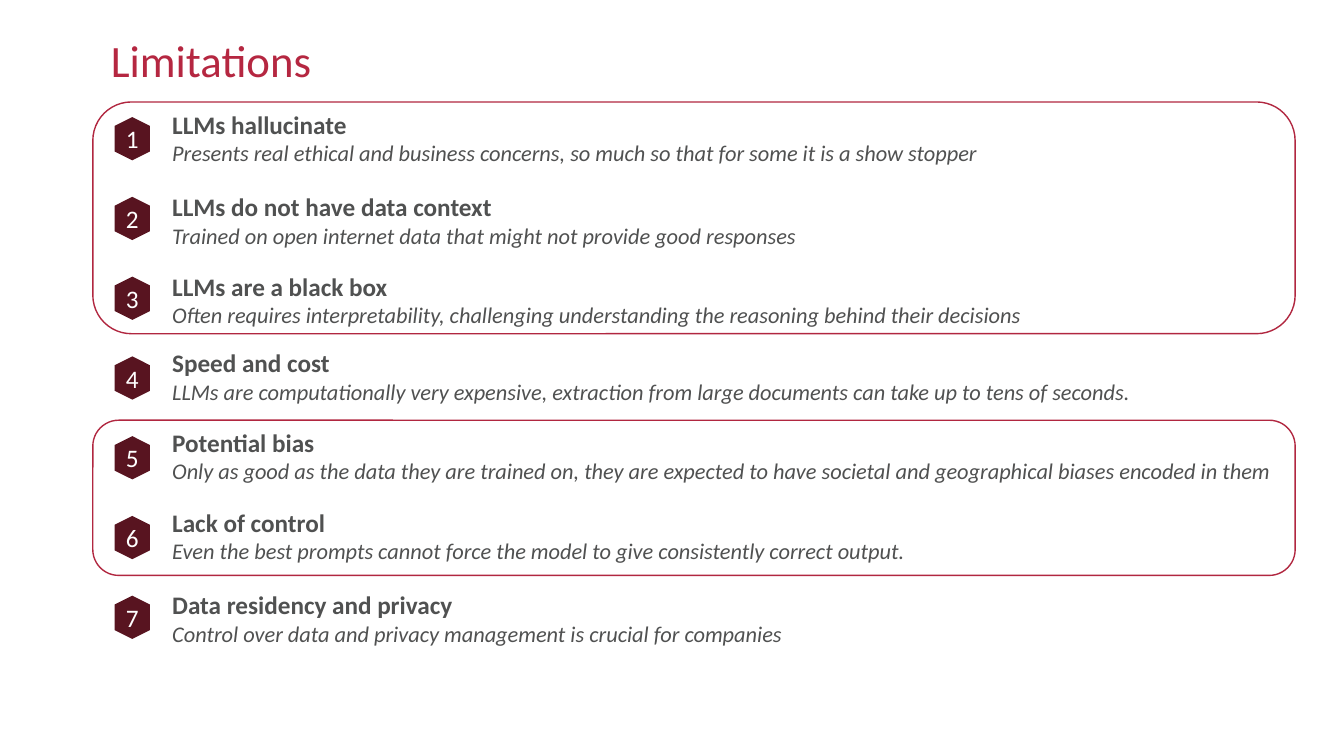
from pptx import Presentation
from pptx.dml.color import RGBColor
from pptx.enum.shapes import MSO_SHAPE as Shape
from pptx.enum.text import MSO_ANCHOR as Anchor, MSO_AUTO_SIZE as AutoSize, PP_ALIGN as Align
from pptx.util import Cm, Pt

TITLE = "Limitations"
# heading, explanation, top and width of the text in cm
LIMITATIONS = [
    ("LLMs hallucinate",
     "Presents real ethical and business concerns, so much so that for some it is a show stopper",
     2.62, 21.08),
    ("LLMs do not have data context",
     "Trained on open internet data that might not provide good responses",
     4.7, 17.09),
    ("LLMs are a black box",
     "Often requires interpretability, challenging understanding the reasoning behind their decisions",
     6.71, 27.41),
    ("Speed and cost",
     "LLMs are computationally very expensive, extraction from large documents can take up to tens of seconds.",
     8.64, 27.71),
    ("Potential bias",
     "Only as good as the data they are trained on, they are expected to have societal and "
     "geographical biases encoded in them",
     10.64, 28.55),
    ("Lack of control",
     "Even the best prompts cannot force the model to give consistently correct output.",
     12.65, 24.31),
    ("Data residency and privacy",
     "Control over data and privacy management is crucial for companies",
     14.73, 25.73),
]
FRAMES = [(2.57, 5.84), (10.59, 3.91)]  # top and height in cm
FRAME_LEFT, FRAME_WIDTH = 2.34, 30.3
BADGE_LEFT, BADGE_TOP, BADGE_PITCH = 2.79, 3.05, 2.01
BADGE_WIDTH, BADGE_HEIGHT = 1.09, 0.89
TEXT_LEFT, TEXT_HEIGHT = 4.09, 1.7

CRIMSON, FRAME_RED, MAROON, GREY, WHITE = "B52741", "B12740", "581420", "505151", "FFFFFF"
HEADING = {"size": Pt(18), "bold": True}
EXPLANATION = {"size": Pt(16), "italic": True}


def color(value):
    return RGBColor.from_string(value)


def write(paragraph, text, ink, styles):
    run = paragraph.add_run()
    run.text = text
    run.font.color.rgb = color(ink)
    for name, value in {"name": "Calibri", **styles}.items():
        setattr(run.font, name, value)


def add_badge(slide, number):
    """Add a hexagon on its point, with its number upright."""
    top = BADGE_TOP + (number - 1) * BADGE_PITCH
    badge = slide.shapes.add_shape(Shape.HEXAGON, Cm(BADGE_LEFT), Cm(top),
                                   Cm(BADGE_WIDTH), Cm(BADGE_HEIGHT))
    badge.rotation = 270
    badge.shadow.inherit = False
    badge.fill.solid()
    badge.fill.fore_color.rgb = color(MAROON)
    badge.line.fill.background()
    frame = badge.text_frame
    for side in ("left", "right", "top", "bottom"):
        setattr(frame, f"margin_{side}", 0)
    frame.vertical_anchor = Anchor.MIDDLE
    badge.element.txBody.bodyPr.set("vert", "vert")
    frame.paragraphs[0].alignment = Align.CENTER
    write(frame.paragraphs[0], str(number), WHITE, {"size": Pt(18)})


def add_limitation(slide, heading, explanation, top, width):
    box = slide.shapes.add_textbox(Cm(TEXT_LEFT), Cm(top), Cm(width), Cm(TEXT_HEIGHT))
    frame = box.text_frame
    frame.word_wrap = True
    frame.auto_size = AutoSize.SHAPE_TO_FIT_TEXT
    write(frame.paragraphs[0], heading, GREY, HEADING)
    write(frame.add_paragraph(), explanation, GREY, EXPLANATION)


def add_frame(slide, top, height):
    outline = slide.shapes.add_shape(Shape.ROUNDED_RECTANGLE, Cm(FRAME_LEFT), Cm(top),
                                     Cm(FRAME_WIDTH), Cm(height))
    outline.shadow.inherit = False
    outline.fill.background()
    outline.line.color.rgb = color(FRAME_RED)
    outline.line.width = Pt(1)


def main():
    deck = Presentation()
    deck.slide_width, deck.slide_height = Cm(33.87), Cm(19.05)
    slide = deck.slides.add_slide(deck.slide_layouts[5])

    title = slide.shapes.title
    title.left, title.top, title.width, title.height = Cm(2.54), Cm(0.64), Cm(19.15), Cm(1.7)
    title.text_frame.vertical_anchor = Anchor.MIDDLE
    title.text_frame.paragraphs[0].alignment = Align.LEFT
    write(title.text_frame.paragraphs[0], TITLE, CRIMSON, {"size": Pt(32)})

    for number, limitation in enumerate(LIMITATIONS, start=1):
        add_badge(slide, number)
        add_limitation(slide, *limitation)
    for top, height in FRAMES:
        add_frame(slide, top, height)

    deck.save("out.pptx")


if __name__ == "__main__":
    main()
